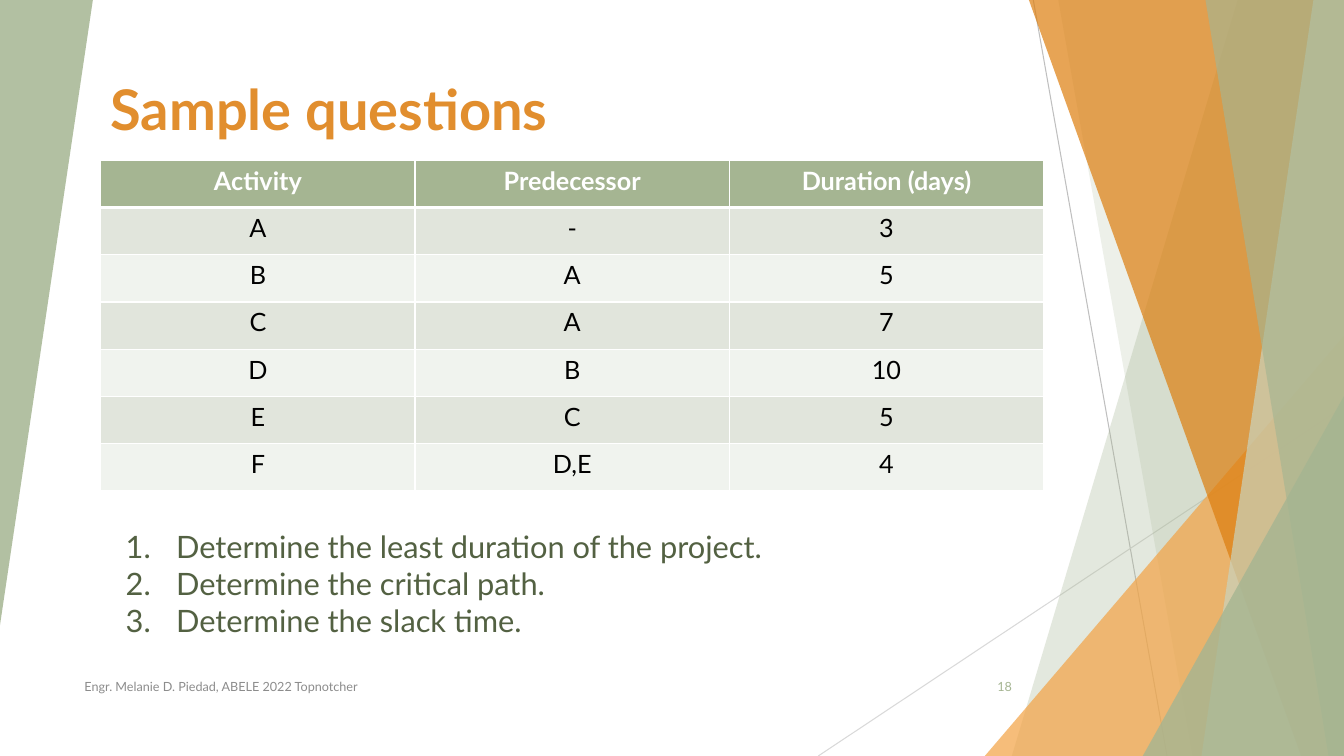
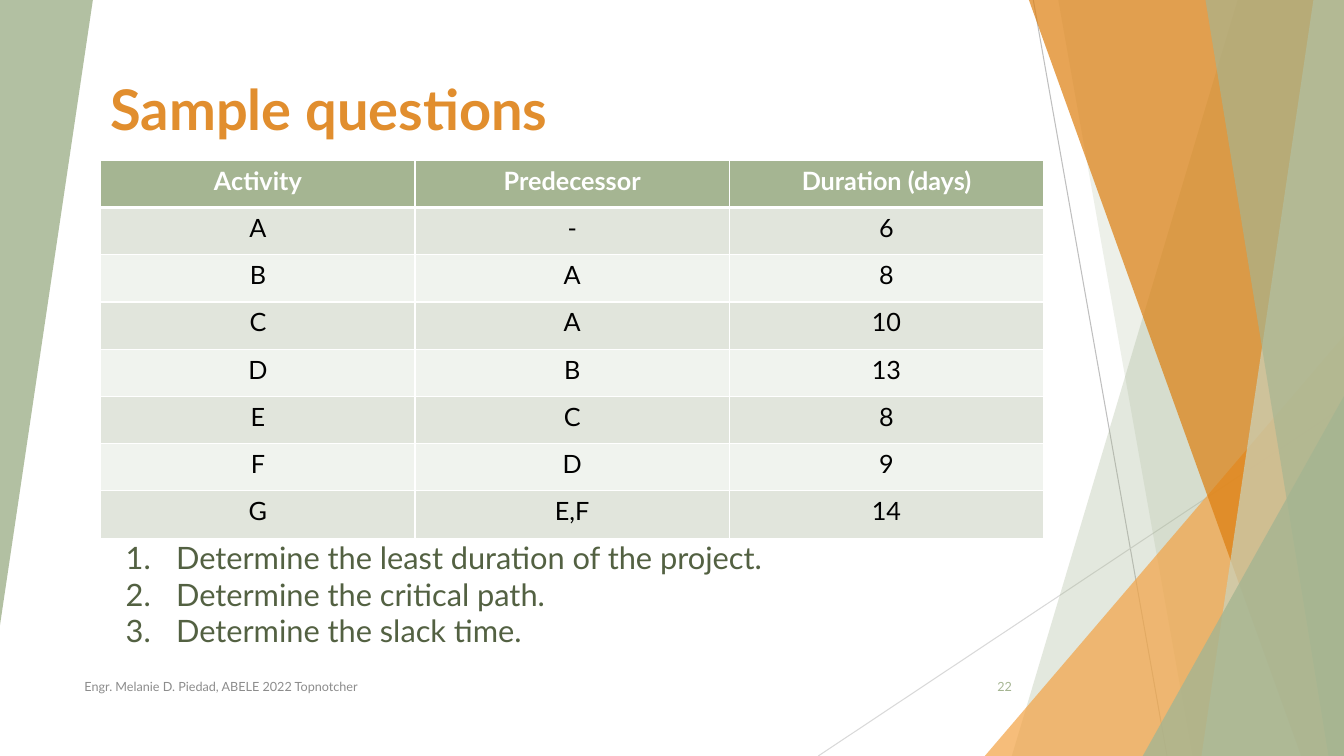
from lxml.etree import SubElement
from pptx import Presentation
from pptx.dml.color import RGBColor
from pptx.enum.shapes import MSO_CONNECTOR, MSO_SHAPE
from pptx.enum.text import MSO_ANCHOR, PP_ALIGN
from pptx.oxml.ns import qn
from pptx.util import Cm, Pt

COLORS = {
    "sage": "A5B592", "pale_sage": "C9D3BE", "orange": "DD7E0E",
    "light_orange": "F3A447", "title": "E18E2E", "question": "536142",
    "footer": "8C8C8C", "dark_rule": "BFBFBF", "light_rule": "D9D9D9",
    "row_odd": "E1E5DC", "row_even": "F0F3EE", "white": "FFFFFF", "black": "000000",
}
RGB = {name: RGBColor.from_string(value) for name, value in COLORS.items()}
WIDTH, HEIGHT = 33.87, 19.05

# Text styles: colour, alignment, font values
STYLES = {
    "title": ("title", PP_ALIGN.JUSTIFY, {"size": Pt(40), "bold": True}),
    "header": ("white", PP_ALIGN.CENTER, {"size": Pt(18), "bold": True}),
    "body": ("black", PP_ALIGN.CENTER, {"size": Pt(18), "bold": False}),
    "question": ("question", PP_ALIGN.JUSTIFY, {"size": Pt(22)}),
    "footer": ("footer", PP_ALIGN.LEFT, {"size": Pt(9)}),
    "number": ("sage", PP_ALIGN.RIGHT, {"size": Pt(9)}),
}

# Background, back to front: rules, then bands and triangles with opacity in %
RULES = [
    ((26.04, 0, 29.41, HEIGHT), "dark_rule"),
    ((WIDTH, 10.24, 20.62, HEIGHT), "light_rule"),
]
# A band has a top and a bottom x and runs to the right edge;
# a triangle has left, top, width, height, rotation
WEDGES = [
    ((31.19, 25.5), "sage", 30),
    ((26.67, 30.05), "sage", 20),
    ((24.82, 8.46, 9.05, 10.59, 0), "light_orange", 72),
    ((25.93, 32.79), "orange", 70),
    ((33.1, 30.28), "pale_sage", 70),
    ((30.38, 33.48), "sage", 65),
    ((28.8, 9.98, 5.07, 9.07, 0), "sage", 80),
    ((0, 0, 2.34, 15.75, 180), "sage", 85),
]

HEADER = ("Activity", "Predecessor", "Duration (days)")
QUESTIONS = [
    "Determine the least duration of the project.",
    "Determine the critical path.",
    "Determine the slack time.",
]
PROBLEMS = [
    {"number": "18", "questions_top": 13.18, "activities": [
        ("A", "-", "3"), ("B", "A", "5"), ("C", "A", "7"),
        ("D", "B", "10"), ("E", "C", "5"), ("F", "D,E", "4")]},
    {"number": "22", "questions_top": 13.44, "activities": [
        ("A", "-", "6"), ("B", "A", "8"), ("C", "A", "10"), ("D", "B", "13"),
        ("E", "C", "8"), ("F", "D", "9"), ("G", "E,F", "14")]},
]
COLUMN_WIDTH, ROW_HEIGHT = 7.92, 1.19


def write(paragraph, text, style):
    color, paragraph.alignment, values = STYLES[style]
    run = paragraph.add_run()
    run.text = text
    run.font.name = "Lato"
    run.font.color.rgb = RGB[color]
    for attribute, value in values.items():
        setattr(run.font, attribute, value)


def add_text(slide, box, lines, style, anchor=MSO_ANCHOR.MIDDLE, numbered=False):
    frame = slide.shapes.add_textbox(*map(Cm, box)).text_frame
    frame.word_wrap = True
    frame.vertical_anchor = anchor
    for index, line in enumerate(lines):
        paragraph = frame.add_paragraph() if index else frame.paragraphs[0]
        if numbered:
            properties = paragraph._p.get_or_add_pPr()
            properties.set("marL", str(Cm(1.27)))
            properties.set("indent", str(-Cm(1.27)))
            SubElement(properties, qn("a:buAutoNum"), type="arabicPeriod")
        write(paragraph, line, style)


deck = Presentation()
deck.slide_width, deck.slide_height = Cm(WIDTH), Cm(HEIGHT)

for problem in PROBLEMS:
    slide = deck.slides.add_slide(deck.slide_layouts[6])

    # Thin rules
    for ends, color in RULES:
        rule = slide.shapes.add_connector(MSO_CONNECTOR.STRAIGHT, *map(Cm, ends))
        rule.line.color.rgb = RGB[color]
        rule.line.width = Pt(0.75)
        SubElement(rule._element.spPr, qn("a:effectLst"))

    # Translucent wedges
    for geometry, color, opacity in WEDGES:
        if len(geometry) == 2:
            top_x, bottom_x = geometry
            outline = slide.shapes.build_freeform(Cm(top_x), 0)
            corners = [(WIDTH, 0), (WIDTH, HEIGHT), (bottom_x, HEIGHT)]
            outline.add_line_segments([(Cm(x), Cm(y)) for x, y in corners])
            wedge = outline.convert_to_shape()
        else:
            *box, rotation = geometry
            wedge = slide.shapes.add_shape(MSO_SHAPE.ISOSCELES_TRIANGLE, *map(Cm, box))
            wedge.adjustments[0] = 1
            wedge.rotation = rotation
        wedge.shadow.inherit = False
        wedge.line.fill.background()
        wedge.fill.solid()
        wedge.fill.fore_color.rgb = RGB[color]
        tint = wedge._element.spPr.find(qn("a:solidFill"))[0]
        SubElement(tint, qn("a:alpha"), val=str(opacity * 1000))

    add_text(slide, (2.54, 1.88, 16.59, 1.7), ["Sample questions"], "title")

    # Activity table
    rows = [HEADER, *problem["activities"]]
    activities = slide.shapes.add_table(
        len(rows), len(HEADER), Cm(2.54), Cm(4.04),
        Cm(COLUMN_WIDTH * len(HEADER)), Cm(ROW_HEIGHT * len(rows))).table
    activities.horz_banding = False
    for column in activities.columns:
        column.width = Cm(COLUMN_WIDTH)
    for row_index, row in enumerate(rows):
        activities.rows[row_index].height = Cm(ROW_HEIGHT)
        if row_index == 0:
            style, fill = "header", "sage"
        else:
            style, fill = "body", "row_odd" if row_index % 2 else "row_even"
        # The edge between the header and the first row is heavier
        borders = {"L": 1, "R": 1, "T": 3 if row_index == 1 else 1,
                   "B": 3 if row_index == 0 else 1}
        for column_index, text in enumerate(row):
            cell = activities.cell(row_index, column_index)
            write(cell.text_frame.paragraphs[0], text, style)
            for side, points in borders.items():
                border = SubElement(cell._tc.get_or_add_tcPr(), qn("a:ln" + side),
                                    w=str(Pt(points)))
                SubElement(SubElement(border, qn("a:solidFill")), qn("a:srgbClr"),
                           val=COLORS["white"])
            cell.fill.solid()
            cell.fill.fore_color.rgb = RGB[fill]

    # Questions and footer
    add_text(slide, (2.92, problem["questions_top"], 27.48, 3.3), QUESTIONS,
             "question", MSO_ANCHOR.TOP, numbered=True)
    add_text(slide, (1.88, 16.79, 17.5, 1.02),
             ["Engr. Melanie D. Piedad, ABELE 2022 Topnotcher"], "footer")
    add_text(slide, (23.85, 16.79, 1.9, 1.02), [problem["number"]], "number")

deck.save("out.pptx")
